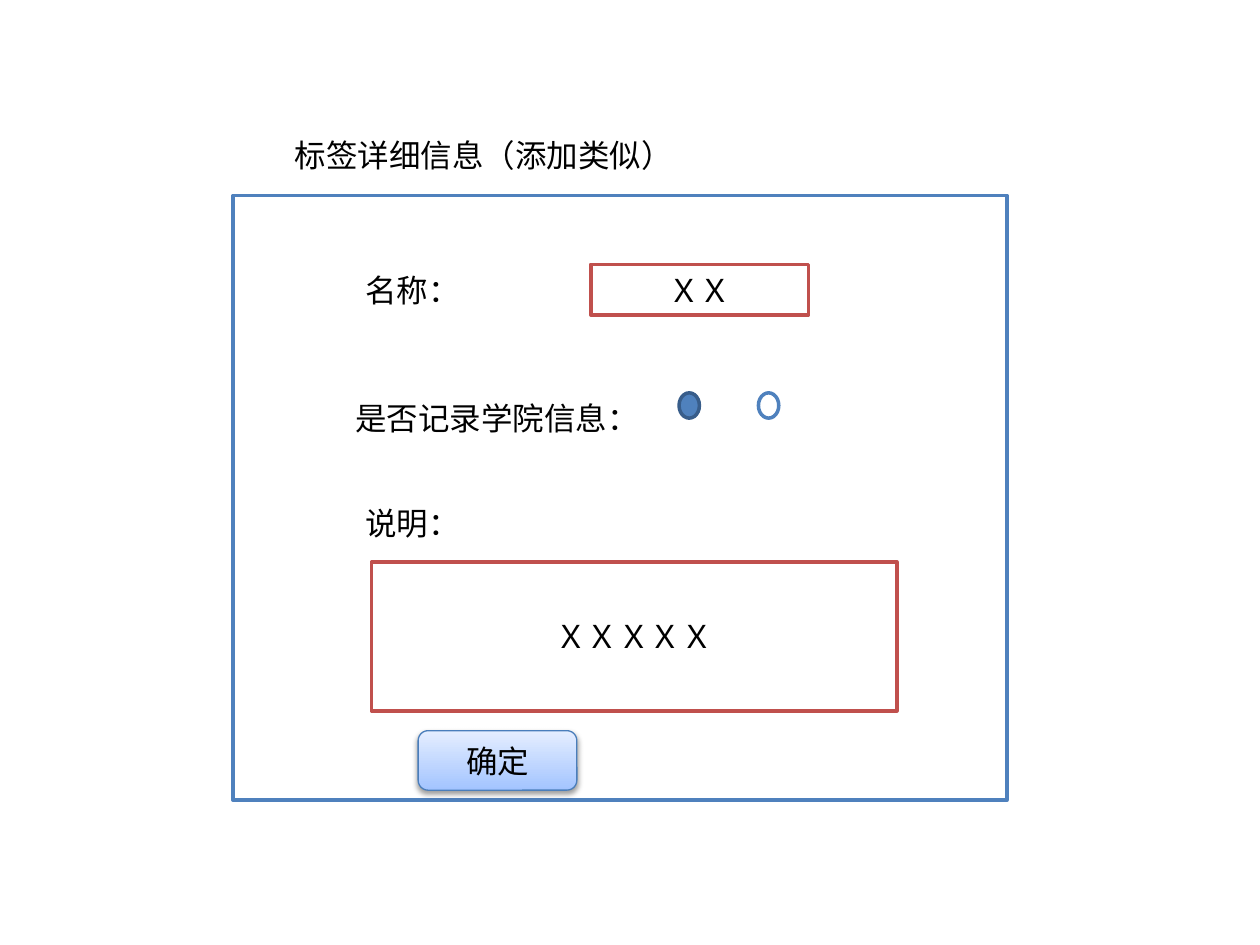
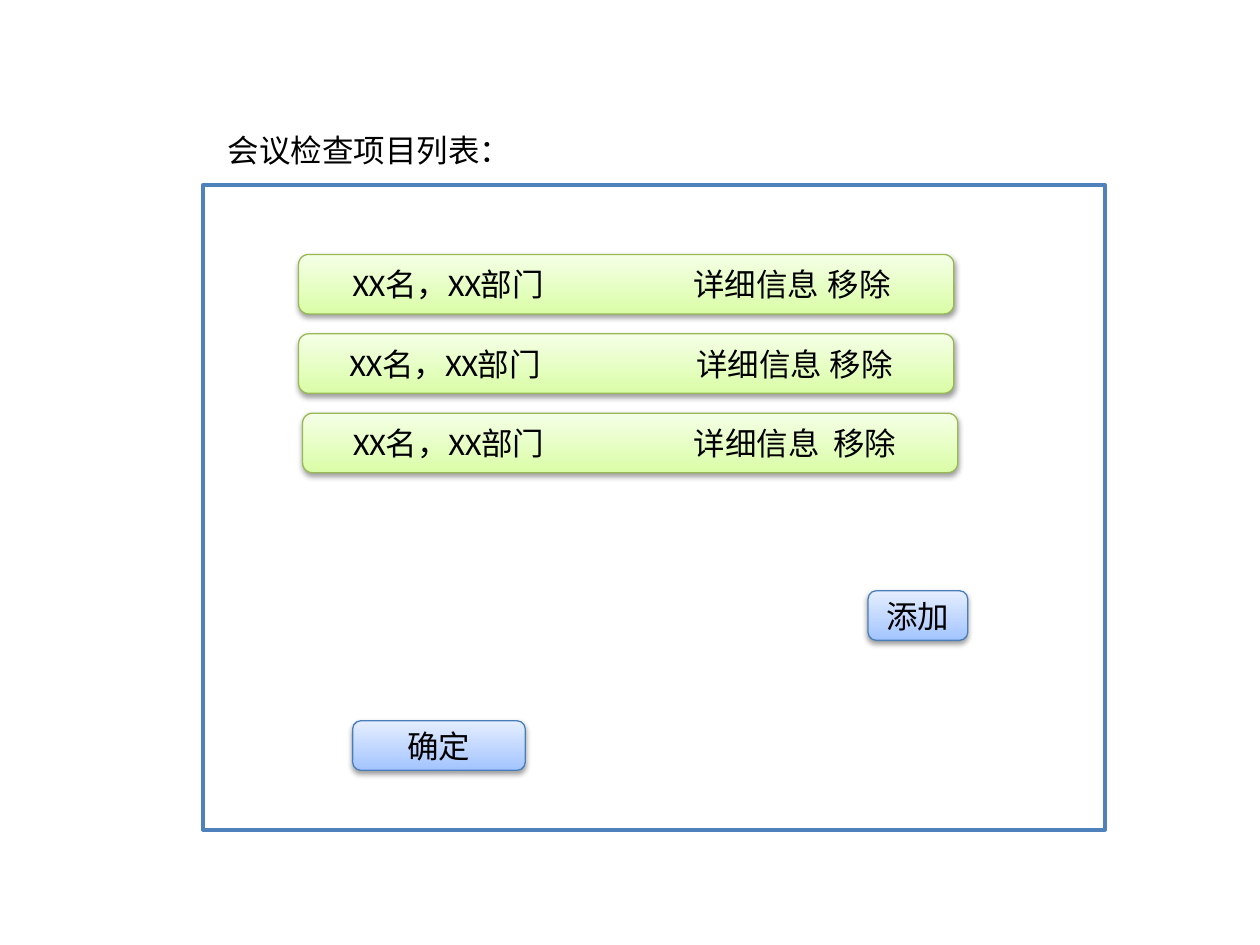
import pptx
import pptx.util
import pptx.dml.color
import pptx.enum.shapes
import pptx.enum.text
import pptx.oxml
import pptx.oxml.ns
from lxml import etree

Cm = pptx.util.Cm
Pt = pptx.util.Pt
Kind = pptx.enum.shapes.MSO_SHAPE
Align = pptx.enum.text.PP_ALIGN
Hold = pptx.enum.text.MSO_ANCHOR
Fit = pptx.enum.text.MSO_AUTO_SIZE
Rgb = pptx.dml.color.RGBColor.from_string


class Theme:
    font = "Calibri"
    size = 18
    ink = "000000"
    white = "FFFFFF"
    blue = "4F81BD"
    navy = "385D8A"
    red = "C0504D"
    thick = 2
    thin = 0.75
    # Raised looks: bottom colour, top colour, edge
    button = ("A3C4FF", "E5EEFF", "4A7EBB")
    row = ("DAFDA7", "F5FFE6", "98B954")


def write(shape, text, align=Align.CENTER, anchor=Hold.MIDDLE, fit=False, inset=0.25, tabs=()):
    """Put text in a shape; fit makes the shape hug a single line."""
    frame = shape.text_frame
    frame.margin_left, frame.margin_right = Cm(inset), Cm(0.25)
    frame.margin_top = frame.margin_bottom = Cm(0.13)
    frame.vertical_anchor = anchor
    frame.word_wrap = not fit
    frame.auto_size = Fit.SHAPE_TO_FIT_TEXT if fit else Fit.NONE
    line = frame.paragraphs[0]
    line.alignment = align
    run = line.add_run()
    run.text = text
    run.font.name = Theme.font
    run.font.size = Pt(Theme.size)
    run.font.color.rgb = Rgb(Theme.ink)
    if tabs:
        stops = etree.SubElement(line._p.get_or_add_pPr(), pptx.oxml.ns.qn("a:tabLst"))
        for stop in tabs:
            etree.SubElement(stops, pptx.oxml.ns.qn("a:tab"), pos=str(Cm(stop)), algn="l")


def draw(slide, kind, place, fill=Theme.white, edge=Theme.blue, look=None):
    """Add a flat shape, or a raised one when a look is given."""
    shape = slide.shapes.add_shape(kind, *map(Cm, place))
    shape.shadow.inherit = False
    if look:
        low, high, edge = look
        shape.fill.gradient()
        shape.fill.gradient_angle = 90
        for stop, tint, spot in zip(shape.fill.gradient_stops, (low, high), (0, 1)):
            stop.color.rgb = Rgb(tint)
            stop.position = spot
        glow = shape._element.spPr.find(pptx.oxml.ns.qn("a:effectLst"))
        glow.append(pptx.oxml.parse_xml(
            f'<a:outerShdw {pptx.oxml.ns.nsdecls("a")} blurRad="40000" dist="20000" '
            'dir="5400000" rotWithShape="0">'
            '<a:srgbClr val="000000"><a:alpha val="38000"/></a:srgbClr></a:outerShdw>'))
    else:
        shape.fill.solid()
        shape.fill.fore_color.rgb = Rgb(fill)
    shape.line.color.rgb = Rgb(edge)
    shape.line.width = Pt(Theme.thin if look else Theme.thick)
    return shape


deck = pptx.Presentation()
deck.slide_width, deck.slide_height = Cm(25.4), Cm(19.05)

# Each page: title, its place, and the frame below it
pages = [
    ("标签详细信息（添加类似）", (5.69, 2.62, 8.13, 1.02), (4.7, 3.94, 15.6, 12.19)),
    ("会议检查项目列表：", (4.34, 2.51, 6.22, 1.02), (4.09, 3.73, 18.19, 13)),
]
slides = []
for text, place, frame in pages:
    slide = deck.slides.add_slide(deck.slide_layouts[5])
    title = slide.shapes.title
    title.left, title.top, title.width, title.height = map(Cm, place)
    write(title, text, align=Align.LEFT, anchor=Hold.TOP, fit=True)
    draw(slide, Kind.RECTANGLE, frame)
    slides.append(slide)
form, board = slides

# Form labels
for text, left, top, width in [
    ("名称：", 7.11, 5.33, 2.41),
    ("是否记录学院信息：", 6.91, 7.92, 6.22),
    ("说明：", 7.11, 10.03, 2.41),
]:
    label = form.shapes.add_textbox(Cm(left), Cm(top), Cm(width), Cm(1.02))
    write(label, text, align=Align.LEFT, anchor=Hold.TOP, fit=True)

# Form fields
for text, place in [
    ("ＸＸ", (11.91, 5.33, 4.39, 1.02)),
    ("ＸＸＸＸＸ", (7.49, 11.33, 10.59, 3)),
]:
    write(draw(form, Kind.RECTANGLE, place, edge=Theme.red), text)

# Radio pair: chosen, then free
for left, fill, edge in [
    (13.69, Theme.blue, Theme.navy),
    (15.29, Theme.white, Theme.blue),
]:
    draw(form, Kind.OVAL, (left, 7.92, 0.41, 0.51), fill=fill, edge=edge)

# List rows: left edge, text inset, tab stops
rows = [
    (6.02, 1.03, (6.87, 9.58)),
    (6.02, 0.97, (6.99, 9.68)),
    (6.1, 0.96, (6.87, 9.68)),
]
for step, (left, inset, tabs) in enumerate(rows):
    row = draw(board, Kind.ROUNDED_RECTANGLE, (left, 5.13 + 1.6 * step, 13.21, 1.2), look=Theme.row)
    write(row, "XX名，XX部门\t详细信息\t移除", align=Align.LEFT, inset=inset, tabs=tabs)

# Buttons
for slide, text, place in [
    (form, "确定", (8.43, 14.73, 3.2, 1.2)),
    (board, "添加", (17.5, 11.91, 2.01, 1)),
    (board, "确定", (7.11, 14.53, 3.48, 1)),
]:
    write(draw(slide, Kind.ROUNDED_RECTANGLE, place, look=Theme.button), text)

deck.save("out.pptx")
